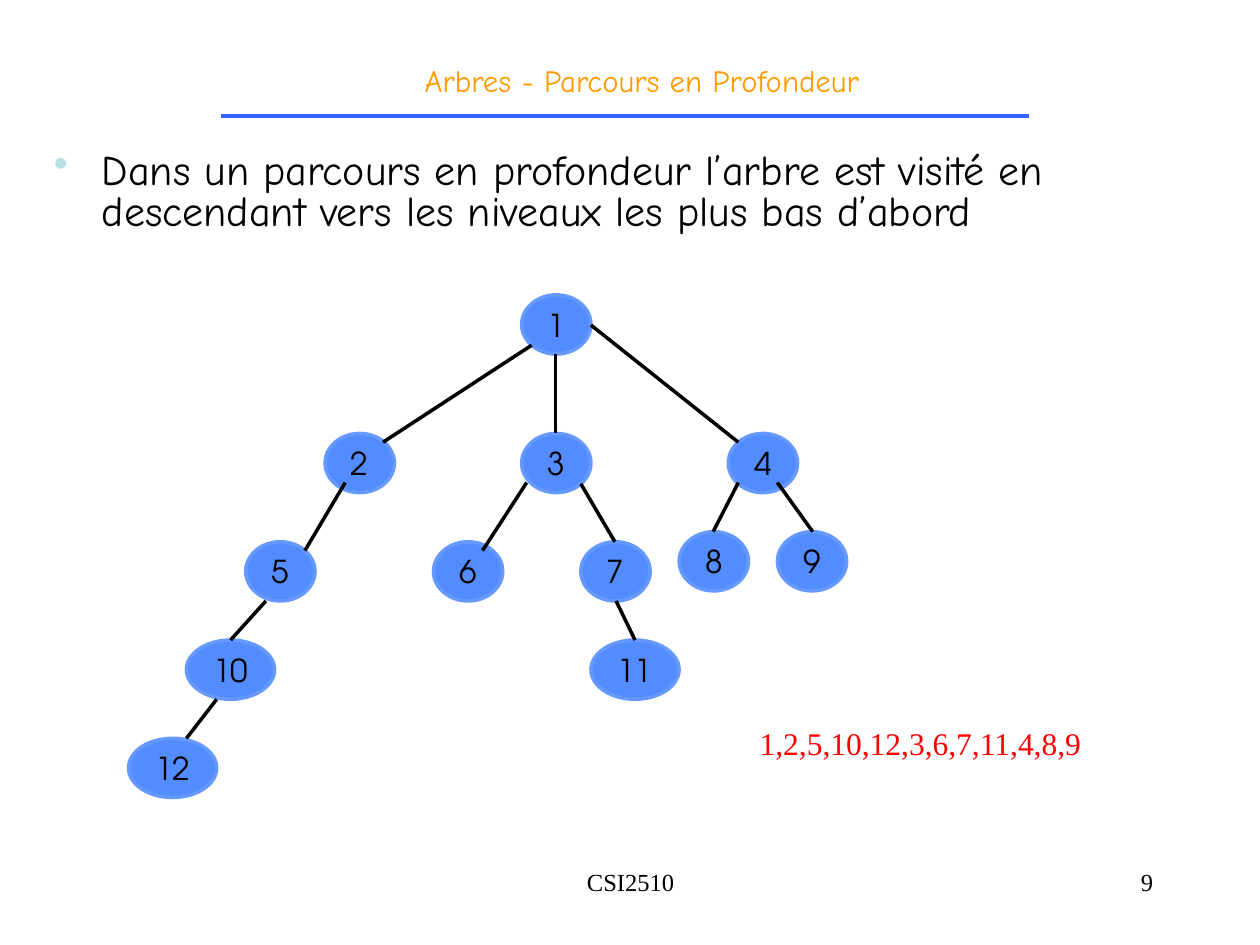
"""Build a slide on depth-first tree traversal."""
import dataclasses
import pptx
import pptx.util
import pptx.dml.color
import pptx.enum.shapes
import pptx.enum.text
import pptx.oxml.ns
import lxml.etree

Inches = pptx.util.Inches
Pt = pptx.util.Pt
Align = pptx.enum.text.PP_ALIGN
Anchor = pptx.enum.text.MSO_ANCHOR
color = pptx.dml.color.RGBColor.from_string
qn = pptx.oxml.ns.qn


@dataclasses.dataclass
class Theme:
    black: str = "000000"
    title: str = "FF9900"
    rule: str = "3366FF"
    bullet: str = "BBE0E3"
    node: str = "538CFF"
    edge: str = "6699FF"
    red: str = "FF0000"
    small: float = 14
    head: float = 17.6
    label: float = 18
    body: float = 24
    stroke: float = 2
    comic: str = "Comic Neue"
    sans: str = "TeX Gyre Adventor"
    serif: str = "Times New Roman"


theme = Theme()
deck = pptx.Presentation()
deck.slide_width = Inches(10)
deck.slide_height = Inches(7.5)
slide = deck.slides.add_slide(deck.slide_layouts[6])
shapes = slide.shapes


def write(shape, text, face, size, tint, align):
    frame = shape.text_frame
    frame.text = text
    frame.word_wrap = True
    para = frame.paragraphs[0]
    para.alignment = align
    font = para.runs[0].font
    font.name = face
    font.size = Pt(size)
    font.color.rgb = color(tint)
    return frame


def draw(start, end, tint):
    ends = [Inches(value) for value in (*start, *end)]
    line = shapes.add_connector(pptx.enum.shapes.MSO_CONNECTOR.STRAIGHT, *ends)
    line.line.color.rgb = color(tint)
    line.line.width = Pt(theme.stroke)
    lxml.etree.SubElement(line._element.spPr, qn("a:effectLst"))


texts = [
    ("CSI2510", (3.42, 6.83, 3.17, 0.5), theme.serif, theme.small, theme.black, Align.CENTER),
    ("9", (7.17, 6.83, 2.08, 0.5), theme.serif, theme.small, theme.black, Align.RIGHT),
    ("Arbres - Parcours en Profondeur", (0.33, 0.42, 9.45, 0.71),
     theme.comic, theme.head, theme.title, Align.CENTER),
    ("Dans un parcours en profondeur l’arbre est visité en descendant vers les niveaux les plus bas d’abord",
     (0.33, 1.17, 9.37, 0.94), theme.comic, theme.body, theme.black, Align.LEFT),
    ("1,2,5,10,12,3,6,7,11,4,8,9", (5.78, 5.7, 3.05, 0.4),
     theme.serif, theme.label, theme.red, Align.CENTER),
]
frames = []
for text, place, face, size, tint, align in texts:
    box = shapes.add_textbox(*[Inches(value) for value in place])
    frames.append(write(box, text, face, size, tint, align))

title, body = frames[2:4]
title.vertical_anchor = Anchor.MIDDLE
title.margin_left = Inches(0.18)
title.margin_bottom = Inches(0.28)
title.paragraphs[0].line_spacing = 0.8

point = body.paragraphs[0]
point.line_spacing = 0.8
props = point._p.get_or_add_pPr()
props.set("marL", str(Inches(0.38)))
props.set("indent", str(Inches(-0.38)))
paint = lxml.etree.SubElement(props, qn("a:buClr"))
lxml.etree.SubElement(paint, qn("a:srgbClr")).set("val", theme.bullet)
lxml.etree.SubElement(props, qn("a:buChar")).set("char", "•")

nodes = {
    1: (4.14, 2.34), 3: (4.14, 3.44), 2: (2.58, 3.44), 6: (3.44, 4.3),
    5: (1.95, 4.3), 10: (1.48, 5.08), 12: (1.02, 5.86), 7: (4.61, 4.3),
    9: (6.17, 4.22), 4: (5.78, 3.44), 8: (5.39, 4.22), 11: (4.69, 5.08),
}
for number, (left, top) in nodes.items():
    width = 0.7 if number > 9 else 0.55
    node = shapes.add_shape(pptx.enum.shapes.MSO_SHAPE.OVAL, Inches(left),
                            Inches(top), Inches(width), Inches(0.47))
    node.shadow.inherit = False
    node.fill.solid()
    node.fill.fore_color.rgb = color(theme.node)
    node.line.color.rgb = color(theme.edge)
    node.line.width = Pt(theme.stroke)
    frame = write(node, str(number), theme.sans, theme.label, theme.black, Align.CENTER)
    frame.vertical_anchor = Anchor.MIDDLE
    frame.word_wrap = False

edges = [
    ((4.22, 2.74), (3.04, 3.51)), ((4.41, 2.81), (4.41, 3.44)),
    ((1.72, 5.55), (1.48, 5.86)), ((4.61, 3.84), (4.88, 4.3)),
    ((2.11, 4.77), (1.83, 5.08)), ((4.69, 2.58), (5.86, 3.51)),
    ((2.74, 3.83), (2.42, 4.37)), ((5.86, 3.83), (5.66, 4.22)),
    ((6.17, 3.83), (6.45, 4.22)), ((4.89, 4.77), (5.04, 5.08)),
    ((4.18, 3.83), (3.83, 4.37)),
]
for start, end in edges:
    draw(start, end, theme.black)
draw((1.75, 0.92), (8.17, 0.92), theme.rule)

deck.save("out.pptx")
